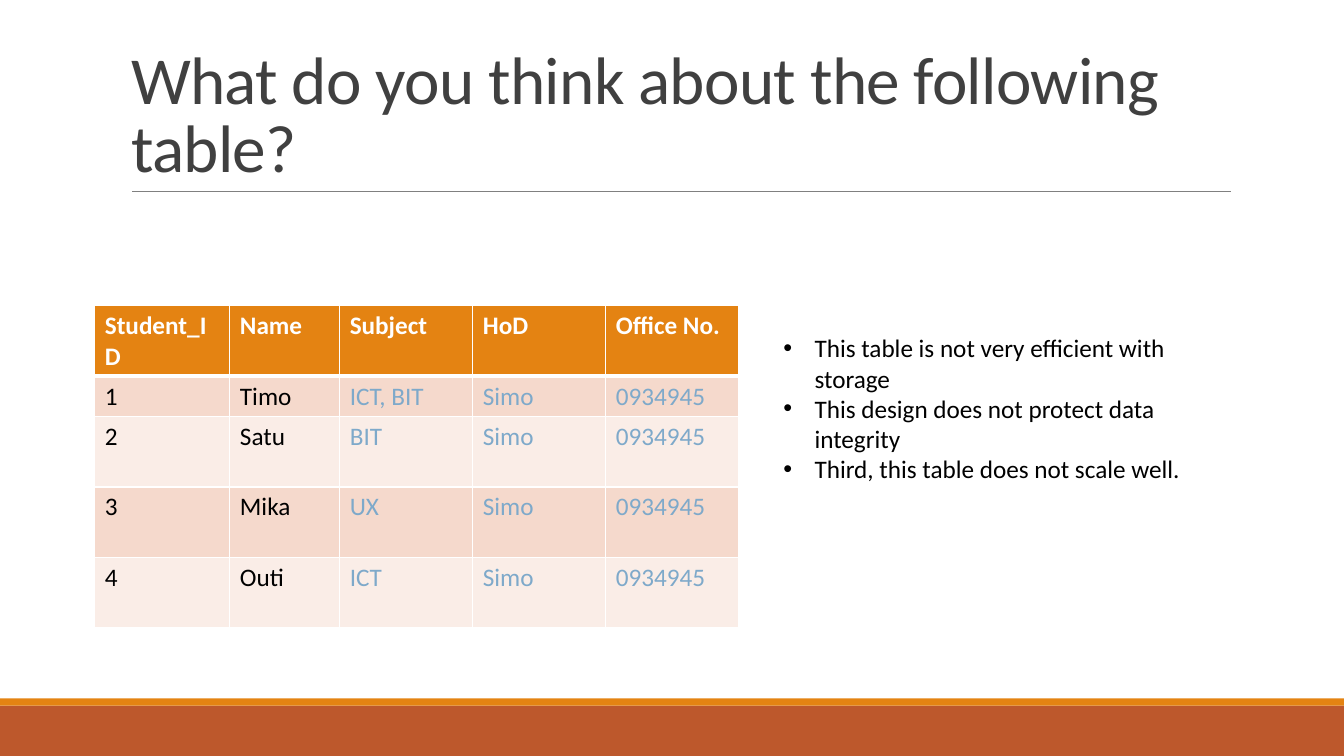
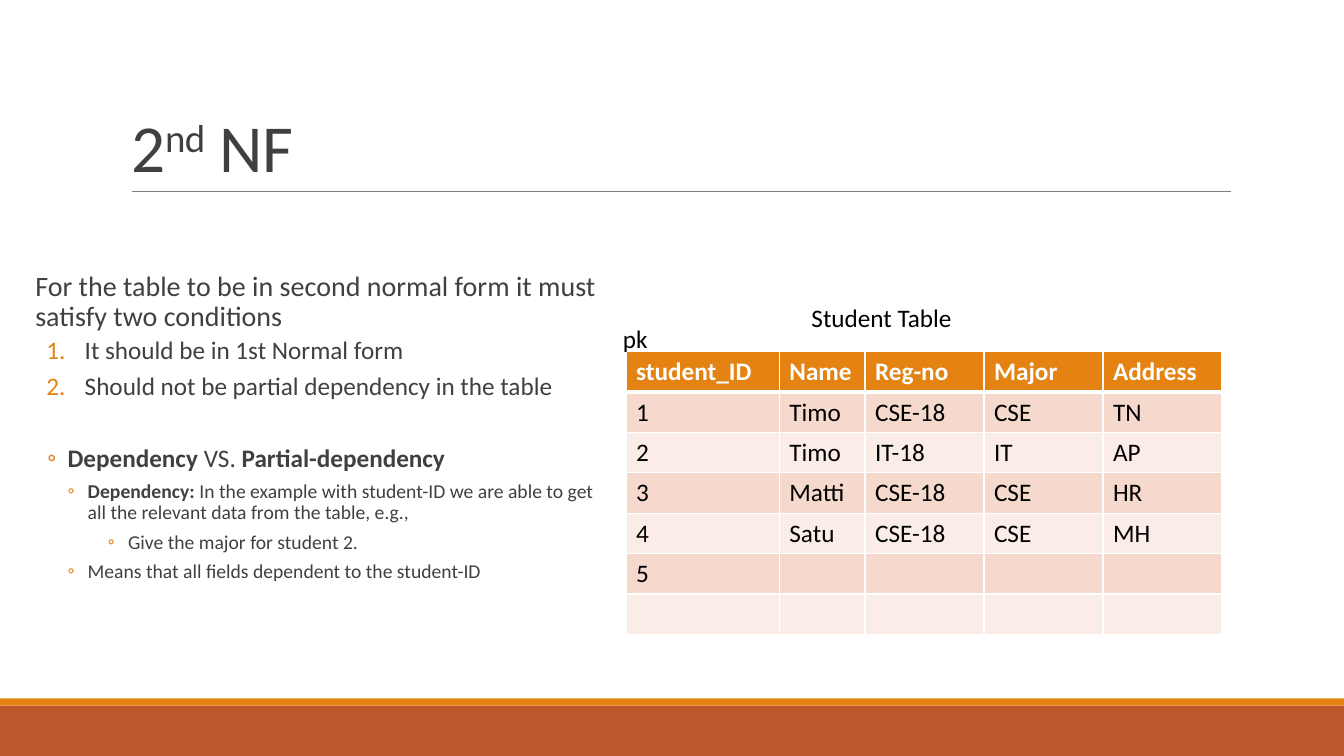
from lxml import etree
from pptx import Presentation
from pptx.dml.color import RGBColor
from pptx.enum import shapes as sh, text as tx
from pptx.oxml.ns import qn
from pptx.util import Inches, Pt

FONT = "Calibri"
WHITE = RGBColor(0xFF, 0xFF, 0xFF)
BLACK = RGBColor(0, 0, 0)
DARK = RGBColor(0x40, 0x40, 0x40)
GREY = RGBColor(0x80, 0x80, 0x80)
RUST = RGBColor(0xBD, 0x58, 0x2C)
GOLD = RGBColor(0xE4, 0x83, 0x12)
BLUE = RGBColor(0x7E, 0xA9, 0xCA)
ROSE = RGBColor(0xF5, 0xD9, 0xCC)
PALE = RGBColor(0xFA, 0xED, 0xE7)

STAFF = [
    ["Student_ID", "Name", "Subject", "HoD", "Office No."],
    ["1", "Timo", "ICT, BIT", "Simo", "0934945"],
    ["2", "Satu", "BIT", "Simo", "0934945"],
    ["3", "Mika", "UX", "Simo", "0934945"],
    ["4", "Outi", "ICT", "Simo", "0934945"],
]
MAJORS = [
    ["student_ID", "Name", "Reg-no", "Major", "Address"],
    ["1", "Timo", "CSE-18", "CSE", "TN"],
    ["2", "Timo", "IT-18", "IT", "AP"],
    ["3", "Matti", "CSE-18", "CSE", "HR"],
    ["4", "Satu", "CSE-18", "CSE", "MH"],
    ["5", "", "", "", ""],
    [""] * 5,
]
FLAWS = [
    "This table is not very efficient with storage",
    "This design does not protect data integrity",
    "Third, this table does not scale well.",
]


def sub(node, tag, **attrs):
    """Add a child element and return it."""
    return etree.SubElement(node, qn(tag), attrs)


def mark(para, left, hang, sign=None, color=None):
    """Indent a paragraph and give it a bullet, or a number for the sign '1.'."""
    props = para._p.get_or_add_pPr()
    props.set("marL", str(Inches(left)))
    props.set("indent", str(Inches(-hang)))
    if color is not None:
        sub(sub(props, "a:buClr"), "a:srgbClr", val=str(color))
    if sign == "1.":
        sub(props, "a:buFont", typeface=FONT)
        sub(props, "a:buAutoNum", type="arabicPeriod")
    elif sign:
        sub(props, "a:buFont", typeface="Arial" if sign == "•" else FONT)
        sub(props, "a:buChar", char=sign)


def write(para, *runs, size=18, color=BLACK, bold=False, line=None,
          before=None, after=None, track=None):
    """Write runs, each a string or a (string, extra attributes) pair."""
    para.alignment = tx.PP_ALIGN.LEFT
    if line:
        para.line_spacing = line
    if before is not None:
        para.space_before = Pt(before)
    if after is not None:
        para.space_after = Pt(after)
    for item in runs:
        words, extra = (item, {}) if isinstance(item, str) else item
        run = para.add_run()
        run.text = words
        font = run.font
        font.name, font.size, font.bold = FONT, Pt(size), bold
        font.color.rgb = color
        props = run._r.get_or_add_rPr()
        if track is not None:
            props.set("spc", str(track))
        for name, value in extra.items():
            props.set(name, value)


def frame(slide, left, top, width, height):
    """Add a wrapping text box and return its text frame."""
    box = slide.shapes.add_textbox(*map(Inches, (left, top, width, height)))
    box.text_frame.word_wrap = True
    return box.text_frame


def paras(body):
    """Yield the first paragraph of a frame, then new ones."""
    yield body.paragraphs[0]
    while True:
        yield body.add_paragraph()


def band(slide, top, height, color):
    """Add a full-width band."""
    rect = slide.shapes.add_shape(sh.MSO_SHAPE.RECTANGLE, 0, Inches(top),
                                  Inches(13.33), Inches(height))
    rect.shadow.inherit = False
    rect.fill.solid()
    rect.fill.fore_color.rgb = color
    rect.line.fill.background()


def page(deck, *title):
    """Add a slide with the shared bands, rule and title."""
    slide = deck.slides.add_slide(deck.slide_layouts[5])
    band(slide, 7, 0.5, RUST)
    band(slide, 6.93, 0.07, GOLD)
    rule = slide.shapes.add_connector(
        sh.MSO_CONNECTOR.STRAIGHT, *map(Inches, (1.31, 1.9, 12.21, 1.9)))
    rule.line.color.rgb = GREY
    rule.line.width = Pt(0.5)
    sub(rule._element.spPr, "a:effectLst")
    head = slide.shapes.title
    head.left, head.top, head.width, head.height = map(
        Inches, (1.2, 0.31, 11, 1.59))
    body = head.text_frame
    body.word_wrap = True
    body.auto_size = tx.MSO_AUTO_SIZE.NONE
    body.vertical_anchor = tx.MSO_ANCHOR.BOTTOM
    write(body.paragraphs[0], *title, size=48, color=DARK, line=0.85,
          track=-50)
    return slide


def edge(cell, row):
    """Draw white cell borders, thick under the header."""
    props = cell._tc.get_or_add_tcPr()
    thick = {0: "a:lnB", 1: "a:lnT"}.get(row)
    for tag in ("a:lnL", "a:lnR", "a:lnT", "a:lnB"):
        side = sub(props, tag, w=str(Pt(3 if tag == thick else 1)))
        sub(sub(side, "a:solidFill"), "a:srgbClr", val=str(WHITE))


def grid(slide, data, left, top, cols, rows, inks):
    """Add a banded table; inks gives the body text colour by column."""
    table = slide.shapes.add_table(
        len(rows), len(cols),
        *map(Inches, (left, top, sum(cols), sum(rows)))).table
    table.horz_banding = False
    for col, width in zip(table.columns, cols):
        col.width = Inches(width)
    for i, height in enumerate(rows):
        table.rows[i].height = Inches(height)
        for j, words in enumerate(data[i]):
            cell = table.cell(i, j)
            edge(cell, i)
            cell.fill.solid()
            cell.fill.fore_color.rgb = (
                GOLD if i == 0 else ROSE if i % 2 else PALE)
            if words:
                write(cell.text_frame.paragraphs[0], words, bold=i == 0,
                      color=WHITE if i == 0 else inks[j])


def flaws(deck):
    """Build the slide that questions a table."""
    slide = page(deck, "What do you think about the following table?")
    body = frame(slide, 7.67, 3.25, 4.18, 1.62)
    for para, words in zip(paras(body), FLAWS):
        mark(para, 0.31, 0.31, "•")
        write(para, words)
    grid(slide, STAFF, 0.94, 3.03, [1.34, 1.09] + [1.32] * 3,
         [0.7, 0.4] + [0.7] * 3, [BLACK] * 2 + [BLUE] * 3)


def normal(deck):
    """Build the slide on second normal form."""
    slide = page(deck, "2", ("nd", {"baseline": "30000"}), " NF")
    body = frame(slide, 0.25, 2.65, 5.75, 3.74)
    body.margin_left = body.margin_right = 0
    strong = {"b": "1"}
    points = [
        (0.1, 0, None, 20, None, ["For the table to be in second normal form "
                                  "it must satisfy two conditions"]),
        (0.59, 0.38, "1.", 18, 2, ["It should be in 1st Normal form"]),
        (0.59, 0.38, "1.", 18, 2,
         ["Should not be partial dependency in the table"]),
        (0.42, 0.2, "◦", 18, 28, [("Dependency", strong), " VS. ",
                                  ("Partial-dependency", strong)]),
        (0.62, 0.2, "◦", 14, 2,
         [("Dependency: ", strong),
          "In the example with student-ID we are able to get all the "
          "relevant data from the table, e.g.,"]),
        (1.02, 0.2, "◦", 14, 2, ["Give the major for student 2."]),
        (0.62, 0.2, "◦", 14, 2,
         ["Means that all fields dependent to the student-ID"]),
    ]
    for point, para in zip(points, paras(body)):
        left, hang, sign, size, before, runs = point
        mark(para, left, hang, sign, GOLD)
        write(para, *runs, size=size, color=DARK, line=0.9, before=before,
              after=4 if sign else 2)
    grid(slide, MAJORS, 6.21, 3.49, [1.52, 0.85] + [1.18] * 3, [0.4] * 7,
         [BLACK] * 5)
    for words, left, top, width in (("Student Table", 7.95, 2.95, 3.22),
                                    ("pk", 6.08, 3.16, 0.5)):
        write(frame(slide, left, top, width, 0.4).paragraphs[0], words)


def main():
    """Build and save the deck."""
    deck = Presentation()
    deck.slide_width, deck.slide_height = Inches(13.33), Inches(7.5)
    flaws(deck)
    normal(deck)
    deck.save("out.pptx")


if __name__ == "__main__":
    main()
